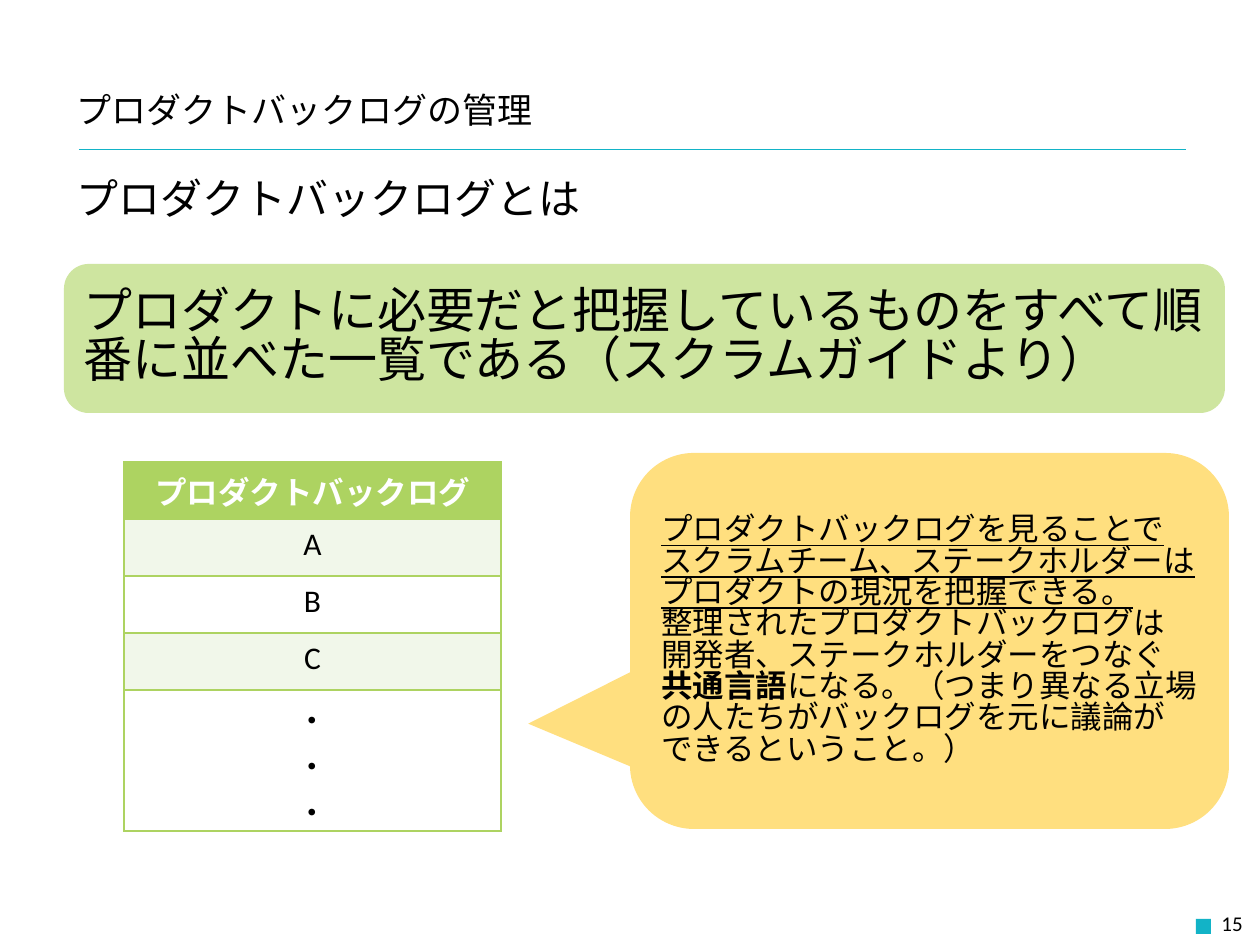
from dataclasses import dataclass

from lxml.etree import SubElement
from pptx import Presentation
from pptx.dml.color import RGBColor
from pptx.enum.shapes import MSO_CONNECTOR as Connector
from pptx.enum.shapes import MSO_SHAPE as Shape
from pptx.enum.text import MSO_ANCHOR as Anchor
from pptx.enum.text import MSO_AUTO_SIZE as AutoSize
from pptx.enum.text import PP_ALIGN as Align
from pptx.oxml import parse_xml
from pptx.oxml.ns import nsdecls, qn
from pptx.util import Emu, Pt

PX_PER_INCH = 126
LATIN, JAPANESE = "Calibri", "Noto Sans CJK JP"
TIGHT = 0.83
COLORS = {
    "text": "000000",
    "white": "FFFFFF",
    "accent": "12B3C7",
    "definition": "CEE5A0",
    "table": "ADD361",
    "band": "F1F7EA",
    "callout": "FFC000",
}


@dataclass(frozen=True)
class Box:
    left: int
    top: int
    width: int
    height: int

    def emu(self) -> tuple:
        return tuple(px(v) for v in (self.left, self.top, self.width, self.height))


@dataclass(frozen=True)
class Run:
    text: str
    bold: bool = False
    underline: bool = False


@dataclass(frozen=True)
class Row:
    lines: tuple
    height: int
    fill: str
    color: str = "text"
    bold: bool = False


def px(length: int) -> Emu:
    return Emu(round(length * 914400 / PX_PER_INCH))


def rgb(name: str) -> RGBColor:
    return RGBColor.from_string(COLORS[name])


def write_text(frame, paragraphs, *, size, font=JAPANESE, color="text", bold=False,
               align=Align.LEFT, anchor=Anchor.MIDDLE, spacing=None, before=0):
    """Fill a text frame; each paragraph is a string or a list of Run."""
    frame.word_wrap = True
    frame.vertical_anchor = anchor
    for index, content in enumerate(paragraphs):
        paragraph = frame.paragraphs[0] if index == 0 else frame.add_paragraph()
        paragraph.alignment = align
        paragraph.line_spacing = spacing
        paragraph.space_before = Pt(before)
        for part in [Run(content, bold)] if isinstance(content, str) else content:
            run = paragraph.add_run()
            run.text = part.text
            run.font.size = Pt(size)
            run.font.name = font
            run.font.bold = part.bold
            run.font.underline = part.underline
            run.font.color.rgb = rgb(color)
            SubElement(run.font._element, qn("a:ea"), typeface=JAPANESE)


def place(shape, box: Box):
    shape.left, shape.top, shape.width, shape.height = box.emu()
    shape.text_frame.auto_size = AutoSize.NONE


def add_block(slide, kind, box: Box, fill: str, opacity: int = 100):
    """Add a preset shape with a plain fill and no outline or shadow."""
    shape = slide.shapes.add_shape(kind, *box.emu())
    shape.shadow.inherit = False
    shape.line.fill.background()
    shape.fill.solid()
    shape.fill.fore_color.rgb = rgb(fill)
    if opacity < 100:
        color = shape._element.spPr.find(qn("a:solidFill"))[0]
        SubElement(color, qn("a:alpha"), val=str(opacity * 1000))
    return shape


def add_rule(slide, left: int, right: int, y: int):
    line = slide.shapes.add_connector(Connector.STRAIGHT, px(left), px(y), px(right), px(y))
    line.line.color.rgb = rgb("accent")
    line.line.width = Pt(0.25)
    SubElement(line._element.spPr, qn("a:effectLst"))


def set_borders(cell, color: str):
    properties = cell._tc.get_or_add_tcPr()
    for index, side in enumerate(("lnL", "lnR", "lnT", "lnB")):
        properties.insert(index, parse_xml(
            f'<a:{side} {nsdecls("a")} w="{Pt(1)}"><a:solidFill>'
            f'<a:srgbClr val="{COLORS[color]}"/></a:solidFill></a:{side}>'))


def add_backlog_table(slide, left: int, top: int, width: int, rows: list):
    box = Box(left, top, width, sum(row.height for row in rows))
    table = slide.shapes.add_table(len(rows), 1, *box.emu()).table
    table.horz_banding = False
    for index, row in enumerate(rows):
        table.rows[index].height = px(row.height)
        cell = table.cell(index, 0)
        cell.fill.solid()
        cell.fill.fore_color.rgb = rgb(row.fill)
        set_borders(cell, "table")
        write_text(cell.text_frame, row.lines, size=18, font=LATIN, color=row.color,
                   bold=row.bold, align=Align.CENTER, anchor=Anchor.TOP)


def main():
    presentation = Presentation()
    presentation.slide_width, presentation.slide_height = px(1260), px(945)
    slide = presentation.slides.add_slide(presentation.slide_layouts[1])
    title, body = slide.placeholders

    add_block(slide, Shape.RECTANGLE, Box(1196, 919, 15, 15), "accent")
    add_rule(slide, 79, 1186, 149)

    place(title, Box(64, 91, 863, 44))
    write_text(title.text_frame, ["プロダクトバックログの管理"], size=20, spacing=TIGHT)

    place(body, Box(64, 175, 1160, 725))
    write_text(body.text_frame, ["プロダクトバックログとは"], size=24,
               anchor=Anchor.TOP, spacing=TIGHT, before=5)
    bullet = body.text_frame.paragraphs[0]._p.get_or_add_pPr()
    bullet.set("marL", "0")
    bullet.set("indent", "0")
    SubElement(bullet, qn("a:buNone"))

    number = slide.shapes.add_textbox(*Box(961, 898, 294, 50).emu())
    write_text(number.text_frame, ["15"], size=12, font=LATIN, align=Align.RIGHT)

    definition = add_block(slide, Shape.ROUNDED_RECTANGLE, Box(64, 264, 1161, 149), "definition")
    write_text(definition.text_frame, [
        "プロダクトに必要だと把握しているものをすべて順番に並べた一覧である（スクラムガイドより）",
    ], size=28, spacing=TIGHT)

    items = [Row((name,), 57, fill)
             for name, fill in zip("ABC", ("band", "white", "band"))]
    add_backlog_table(slide, 124, 462, 377, [
        Row(("プロダクトバックログ",), 57, "table", "white", True),
        *items,
        Row(("・",) * 3, 141, "white"),
    ])

    callout = add_block(slide, Shape.ROUNDED_RECTANGULAR_CALLOUT,
                        Box(630, 453, 599, 376), "callout", opacity=50)
    for index, value in enumerate((-0.67, 0.22, 0.17)):
        callout.adjustments[index] = value
    write_text(callout.text_frame, [
        [Run("プロダクトバックログを見ることで", underline=True)],
        [Run("スクラムチーム、ステークホルダーは", underline=True)],
        [Run("プロダクトの現況を把握できる。", underline=True)],
        "整理されたプロダクトバックログは",
        "開発者、ステークホルダーをつなぐ",
        [Run("共通言語", bold=True),
         Run("になる。（つまり異なる立場の人たちがバックログを元に議論が")],
        "できるということ。）",
    ], size=18, spacing=TIGHT)

    presentation.save("out.pptx")


if __name__ == "__main__":
    main()
